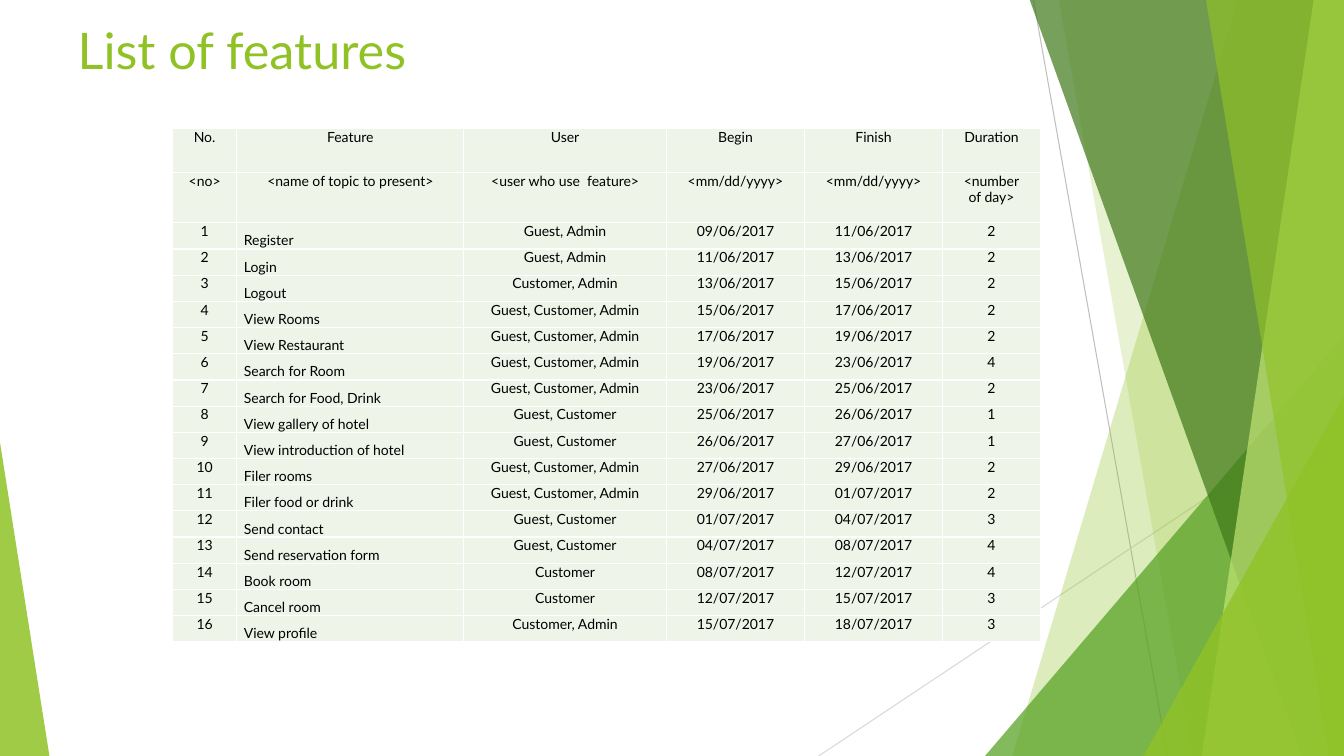
from itertools import product

from lxml import etree
from pptx import Presentation
from pptx import util as u
from pptx.dml.color import RGBColor
from pptx.enum import shapes, text
from pptx.oxml.ns import qn

WIDTH, HEIGHT = 13.33, 7.5
TOP = -0.01
TRIANGLE = shapes.MSO_SHAPE.ISOSCELES_TRIANGLE
HEADER = ("No.", "Feature", "User", "Begin", "Finish", "Duration")
HINTS = ("<no>", "<name of topic to present>", "<user who use  feature>",
         "<mm/dd/yyyy>", "<mm/dd/yyyy>", "<number\nof day>")
EVERYONE = "Guest, Customer, Admin"
FIRST_DAY = "09/06/2017"
FEATURES = [
    ("Register", "Guest, Admin", "11/06/2017", 2),
    ("Login", "Guest, Admin", "13/06/2017", 2),
    ("Logout", "Customer, Admin", "15/06/2017", 2),
    ("View Rooms", EVERYONE, "17/06/2017", 2),
    ("View Restaurant", EVERYONE, "19/06/2017", 2),
    ("Search for Room", EVERYONE, "23/06/2017", 4),
    ("Search for Food, Drink", EVERYONE, "25/06/2017", 2),
    ("View gallery of hotel", "Guest, Customer", "26/06/2017", 1),
    ("View introduction of hotel", "Guest, Customer", "27/06/2017", 1),
    ("Filer rooms", EVERYONE, "29/06/2017", 2),
    ("Filer food or drink", EVERYONE, "01/07/2017", 2),
    ("Send contact", "Guest, Customer", "04/07/2017", 3),
    ("Send reservation form", "Guest, Customer", "08/07/2017", 4),
    ("Book room", "Customer", "12/07/2017", 4),
    ("Cancel room", "Customer", "15/07/2017", 3),
    ("View profile", "Customer, Admin", "18/07/2017", 3),
]


def color(value):
    return RGBColor.from_string(value)


class FeatureSlide:
    """Draws the styled elements of one slide."""

    font = "Lato"
    accent = "90C226"
    ink = "000000"
    cell_fill = "EEF4E8"
    border = "FFFFFF"

    def __init__(self, presentation):
        self.slide = presentation.slides.add_slide(presentation.slide_layouts[5])
        self.shapes = self.slide.shapes

    def format_runs(self, paragraph, size, value):
        for run in paragraph.runs:
            run.font.name = self.font
            run.font.size = u.Pt(size)
            run.font.color.rgb = color(value)

    def title(self, words, left, top, width, height):
        shape = self.shapes.title
        shape.left, shape.top = u.Inches(left), u.Inches(top)
        shape.width, shape.height = u.Inches(width), u.Inches(height)
        frame = shape.text_frame
        frame.text = words
        frame.vertical_anchor = text.MSO_ANCHOR.TOP
        frame.paragraphs[0].alignment = text.PP_ALIGN.LEFT
        self.format_runs(frame.paragraphs[0], 36, self.accent)

    def line(self, start, end, value):
        connector = self.shapes.add_connector(
            shapes.MSO_CONNECTOR.STRAIGHT, *map(u.Inches, start + end))
        connector.line.color.rgb = color(value)
        connector.line.width = u.Pt(0.75)
        etree.SubElement(connector.element.spPr, qn("a:effectLst"))

    def paint(self, shape, value, opacity):
        shape.shadow.inherit = False
        shape.fill.solid()
        shape.fill.fore_color.rgb = color(value)
        fill_color = shape.element.spPr.find(".//" + qn("a:srgbClr"))
        etree.SubElement(fill_color, qn("a:alpha"), val=str(opacity * 1000))
        shape.line.fill.background()

    def panel(self, top_x, bottom_x, value, opacity):
        corners = [(top_x, TOP), (WIDTH, TOP), (WIDTH, HEIGHT), (bottom_x, HEIGHT)]
        points = [(u.Inches(x), u.Inches(y)) for x, y in corners]
        builder = self.shapes.build_freeform(*points[0])
        builder.add_line_segments(points[1:], close=True)
        self.paint(builder.convert_to_shape(), value, opacity)

    def triangle(self, left, top, width, apex, value, opacity):
        shape = self.shapes.add_shape(
            TRIANGLE, u.Inches(left), u.Inches(top), u.Inches(width), u.Inches(HEIGHT - top))
        shape.adjustments[0] = apex
        self.paint(shape, value, opacity)

    def table(self, rows, left, top, widths, heights):
        frame = self.shapes.add_table(
            len(rows), len(widths), u.Inches(left), u.Inches(top),
            u.Inches(sum(widths)), u.Inches(sum(heights)))
        table = frame.table
        table.first_row = table.horz_banding = False
        for column, width in zip(table.columns, widths):
            column.width = u.Inches(width)
        for row, height in zip(table.rows, heights):
            row.height = u.Inches(height)
        for row, column in product(range(len(rows)), range(len(widths))):
            self.cell(table.cell(row, column), str(rows[row][column]),
                      is_header=row == 0, is_feature=row > 1 and column == 1)

    def cell(self, cell, words, is_header, is_feature):
        cell.margin_left = cell.margin_right = u.Inches(0.07)
        cell.margin_top = cell.margin_bottom = 0
        cell.vertical_anchor = text.MSO_ANCHOR.BOTTOM if is_feature else text.MSO_ANCHOR.TOP
        cell.text_frame.text = words
        for paragraph in cell.text_frame.paragraphs:
            paragraph.alignment = text.PP_ALIGN.JUSTIFY if is_feature else text.PP_ALIGN.CENTER
            paragraph.line_spacing = 1.07 if is_header or is_feature else u.Pt(12)
            if is_header:
                paragraph.space_before = paragraph.space_after = u.Pt(1)
            self.format_runs(paragraph, 10, self.ink)
        properties = cell._tc.get_or_add_tcPr()
        for side in ("lnL", "lnR", "lnT", "lnB"):
            edge = etree.SubElement(properties, qn(f"a:{side}"), w=str(u.Pt(1)))
            fill = etree.SubElement(edge, qn("a:solidFill"))
            etree.SubElement(fill, qn("a:srgbClr"), val=self.border)
        cell.fill.solid()
        cell.fill.fore_color.rgb = color(self.cell_fill)


def schedule_rows():
    rows, begin = [HEADER, HINTS], FIRST_DAY
    for number, (feature, user, finish, days) in enumerate(FEATURES, 1):
        rows.append((number, feature, user, begin, finish, days))
        begin = finish
    return rows


def main():
    presentation = Presentation()
    presentation.slide_width = u.Inches(WIDTH)
    presentation.slide_height = u.Inches(HEIGHT)
    page = FeatureSlide(presentation)

    page.line((10.25, 0), (11.58, HEIGHT), "BFBFBF")
    page.line((WIDTH, 4.03), (8.12, HEIGHT), "D9D9D9")
    page.panel(12.28, 10.04, page.accent, 30)
    page.panel(10.5, 11.83, page.accent, 20)
    page.triangle(9.77, 3.33, 3.56, 1, "54A021", 72)
    page.panel(10.21, 12.91, "3F7819", 70)
    page.panel(13.03, 11.92, "C0E474", 70)
    page.panel(11.96, 13.18, page.accent, 65)
    page.triangle(11.34, 3.93, 1.99, 1, page.accent, 80)
    page.triangle(0, 4.39, 0.49, 0, page.accent, 85)

    page.title("List of features", 0.67, 0.14, 9.4, 1.44)
    page.table(schedule_rows(), 1.71, 1.27,
               widths=[0.64, 2.25, 2.01, 1.37, 1.37, 0.97],
               heights=[0.44, 0.5] + [0.26] * len(FEATURES))
    presentation.save("out.pptx")


if __name__ == "__main__":
    main()
